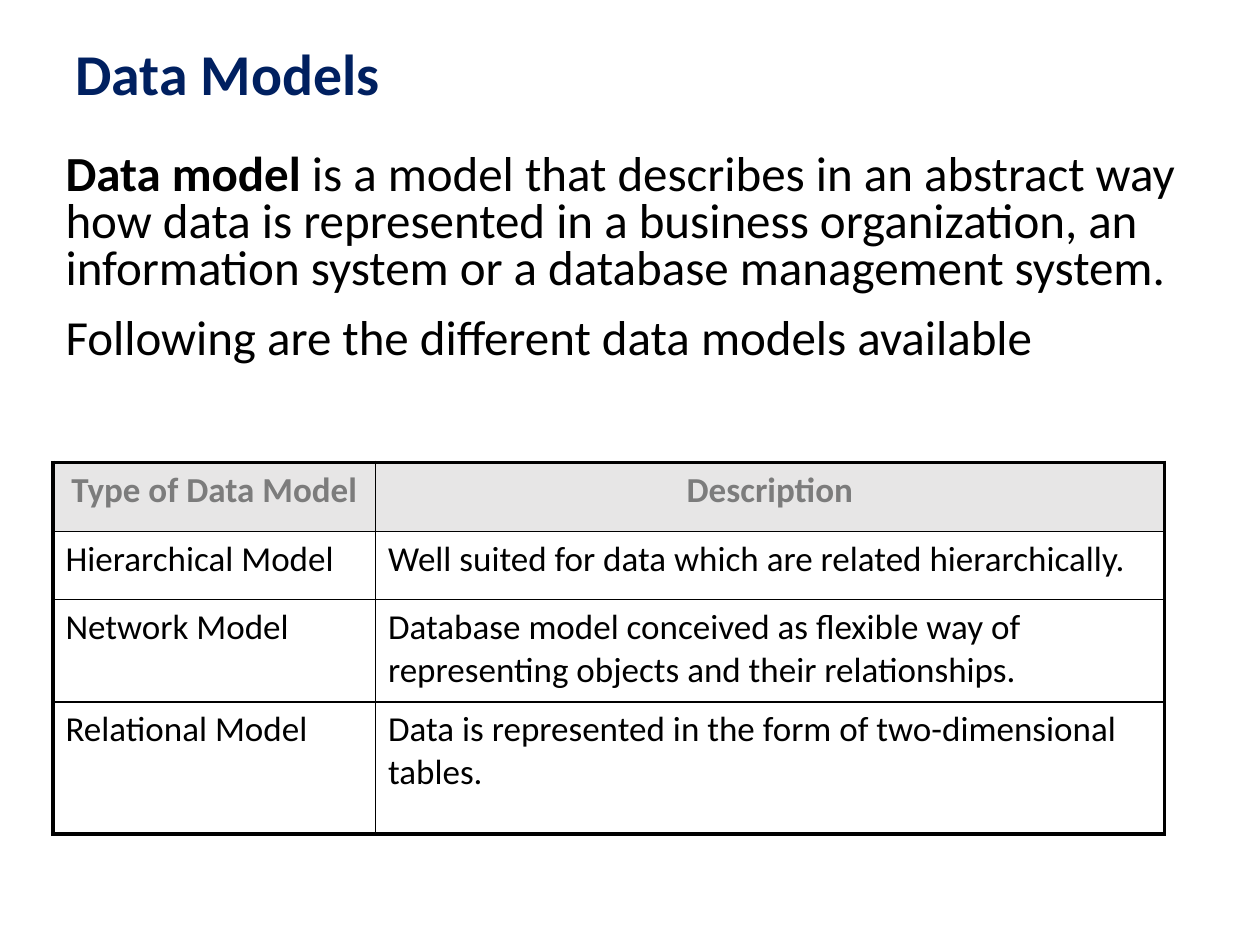
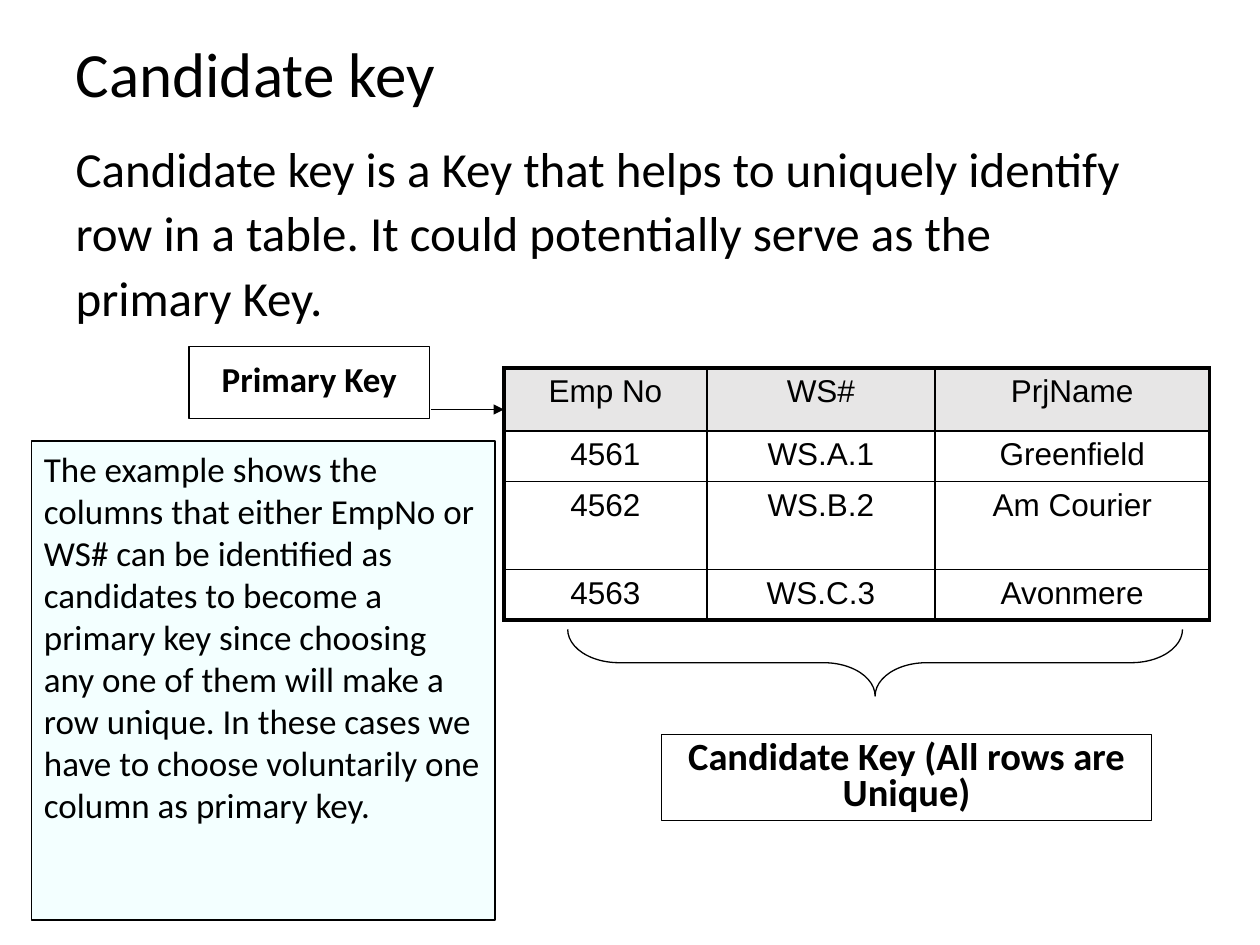
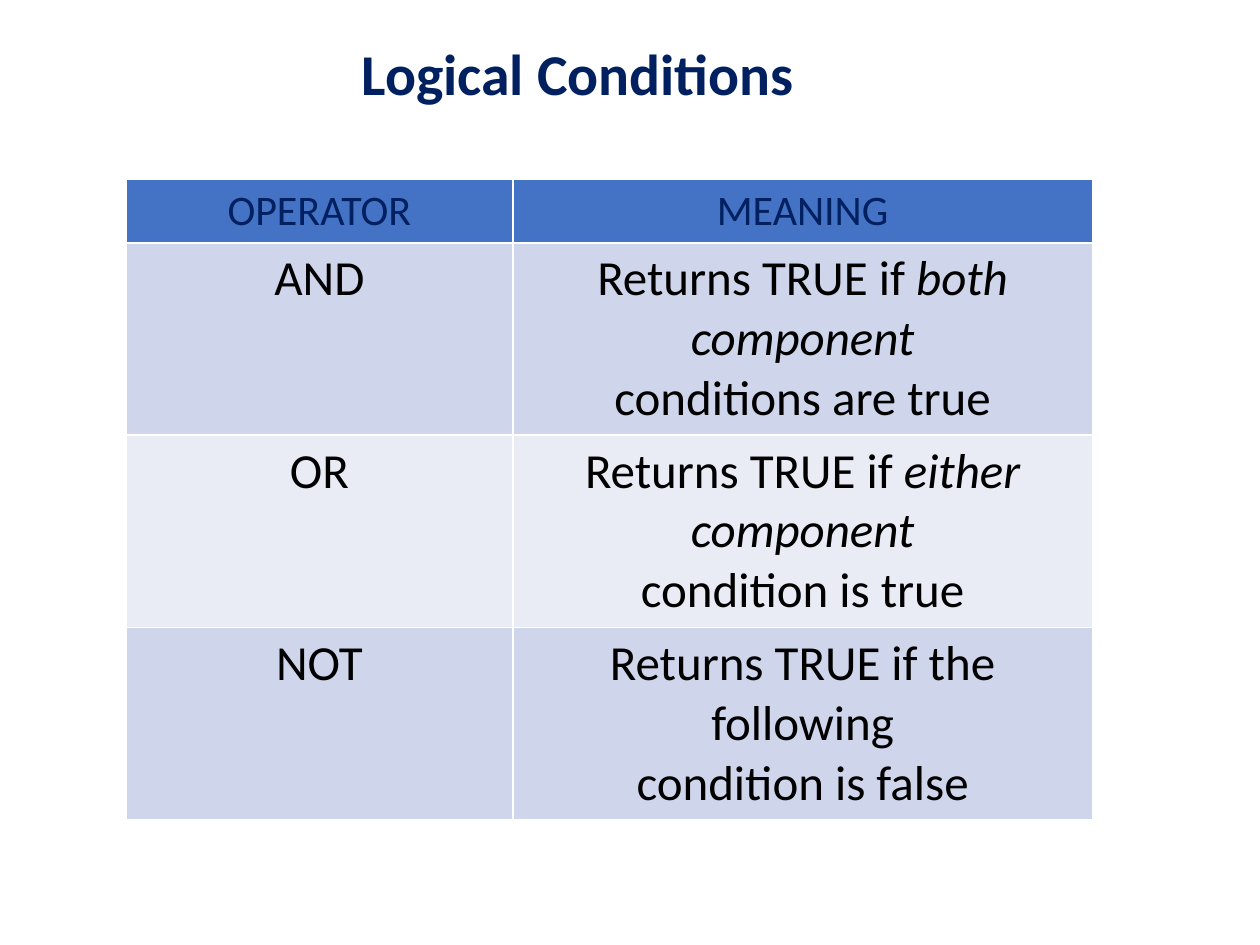
from lxml import etree
from pptx import Presentation
from pptx.dml.color import RGBColor
from pptx.enum.shapes import MSO_CONNECTOR, MSO_SHAPE
from pptx.enum.text import MSO_ANCHOR, MSO_AUTO_SIZE, PP_ALIGN
from pptx.oxml.ns import qn
from pptx.util import Inches, Pt

LEFT, CENTER = PP_ALIGN.LEFT, PP_ALIGN.CENTER
TOP, MIDDLE = MSO_ANCHOR.TOP, MSO_ANCHOR.MIDDLE
RECTANGLE, RIGHT_BRACE = MSO_SHAPE.RECTANGLE, MSO_SHAPE.RIGHT_BRACE

BLACK = RGBColor(0x00, 0x00, 0x00)
WHITE = RGBColor(0xFF, 0xFF, 0xFF)
NAVY = RGBColor(0x00, 0x20, 0x60)
GRAY = RGBColor(0x7C, 0x7C, 0x7C)
LIGHT_GRAY = RGBColor(0xE7, 0xE6, 0xE6)
BLUE = RGBColor(0x44, 0x72, 0xC4)
PALE_BLUES = [RGBColor(0xCF, 0xD5, 0xEA), RGBColor(0xE9, 0xEB, 0xF5)]
ICE = RGBColor(0xF3, 0xFF, 0xFF)

TITLE_AND_BODY, TITLE_ONLY = 1, 5
BOLD_TITLE = {"size": 33, "color": NAVY, "bold": True}

# A paragraph is a string or a list of (text, run format) pairs.
MODEL_INTRO = [
    [("Data model", {"bold": True}),
     (" is a model that describes in an abstract way how data is represented in a "
      "business organization, an information system or a database management system.", {})],
    "Following are the different data models available",
]
MODEL_ROWS = [
    ["Type of Data Model", "Description"],
    ["Hierarchical Model", "Well suited for data which are related hierarchically."],
    ["Network Model", "Database model conceived as flexible way of representing "
                      "objects and their relationships."],
    ["Relational Model", "Data is represented in the form of two-dimensional tables."],
]

CANDIDATE_INTRO = ["Candidate key is a Key that helps to uniquely identify row in a table. "
                   "It could potentially serve as the primary Key."]
PROJECT_ROWS = [
    ["Emp No", "WS#", "PrjName"],
    ["4561", "WS.A.1", "Greenfield"],
    ["4562", "WS.B.2", "Am Courier"],
    ["4563", "WS.C.3", "Avonmere"],
]
EXAMPLE_NOTE = ("The example shows the columns that either EmpNo or WS# can be identified as "
                "candidates to become a primary key since choosing any one of them will make "
                "a row unique. In these cases we have to choose voluntarily one column as "
                "primary key.")

ITALIC = {"italic": True}
CONDITION_ROWS = [
    ["OPERATOR", "MEANING"],
    ["AND", [[("Returns TRUE if ", {}), ("both component", ITALIC)], "conditions are true"]],
    ["OR", [[("Returns TRUE if ", {}), ("either component", ITALIC)], "condition is true"]],
    ["NOT", ["Returns TRUE if the following", "condition is false"]],
]


def write_text(frame, paragraphs, size=20, color=BLACK, font="Calibri", bold=False,
               align=LEFT, line_spacing=1.0, gap=0):
    """Fill a text frame; gap is the space in points between paragraphs."""
    if isinstance(paragraphs, str):
        paragraphs = [paragraphs]
    for index, content in enumerate(paragraphs):
        paragraph = frame.add_paragraph() if index else frame.paragraphs[0]
        properties = paragraph._p.get_or_add_pPr()
        properties.set("marL", "0")
        properties.set("indent", "0")
        etree.SubElement(properties, qn("a:buNone"))
        paragraph.alignment = align
        paragraph.line_spacing = line_spacing
        paragraph.space_before = Pt(gap if index else 0)
        for text, run_format in [(content, {})] if isinstance(content, str) else content:
            run = paragraph.add_run()
            run.text = text
            run.font.name = font
            run.font.size = Pt(size)
            run.font.color.rgb = color
            run.font.bold = run_format.get("bold", bold)
            run.font.italic = run_format.get("italic", False)


def fill_placeholder(shape, box, paragraphs, anchor, **text_format):
    shape.left, shape.top, shape.width, shape.height = map(Inches, box)
    frame = shape.text_frame
    frame.word_wrap = True
    frame.auto_size = MSO_AUTO_SIZE.NONE
    frame.vertical_anchor = anchor
    write_text(frame, paragraphs, **text_format)


def add_slide(presentation, layout, title, title_width=8.17, **title_format):
    slide = presentation.slides.add_slide(presentation.slide_layouts[layout])
    fill_placeholder(slide.shapes.title, (0.5, 0.3, title_width, 0.62), title, MIDDLE,
                     line_spacing=0.9, **title_format)
    return slide


def set_fill(fill, color):
    if color is None:
        fill.background()
    else:
        fill.solid()
        fill.fore_color.rgb = color


def set_border(cell, side, color, width):
    line = etree.SubElement(cell._tc.get_or_add_tcPr(), qn(f"a:ln{side}"), w=str(Pt(width)))
    solid = etree.SubElement(line, qn("a:solidFill"))
    etree.SubElement(solid, qn("a:srgbClr"), val=str(color))


def add_grid(slide, left, top, widths, heights, rows, header, body, header_fill,
             body_fills=(None,), border=BLACK, outer_width=2.25):
    """Add a table; header and body are text formats, body_fills repeat row by row."""
    table = slide.shapes.add_table(len(rows), len(widths), Inches(left), Inches(top),
                                   Inches(sum(widths)), Inches(sum(heights))).table
    for column, width in zip(table.columns, widths):
        column.width = Inches(width)
    for row_index, (height, texts) in enumerate(zip(heights, rows)):
        table.rows[row_index].height = Inches(height)
        for column_index, text in enumerate(texts):
            cell = table.cell(row_index, column_index)
            outer_sides = {"L": column_index == 0, "R": column_index == len(widths) - 1,
                           "T": row_index == 0, "B": row_index == len(rows) - 1}
            for side, is_outer in outer_sides.items():
                set_border(cell, side, border, outer_width if is_outer else 1)
            is_header = row_index == 0
            set_fill(cell.fill, header_fill if is_header
                     else body_fills[(row_index - 1) % len(body_fills)])
            write_text(cell.text_frame, text, **(header if is_header else body))


def add_outlined_shape(slide, kind, box, fill=None, line_width=0.75):
    shape = slide.shapes.add_shape(kind, *map(Inches, box))
    shape.shadow.inherit = False
    set_fill(shape.fill, fill)
    shape.line.color.rgb = BLACK
    shape.line.width = Pt(line_width)
    return shape


def add_box(slide, box, text, anchor=MIDDLE, fill=None, line_width=0.75, **text_format):
    shape = add_outlined_shape(slide, RECTANGLE, box, fill, line_width)
    shape.text_frame.word_wrap = True
    shape.text_frame.vertical_anchor = anchor
    write_text(shape.text_frame, text, **text_format)


def add_arrow(slide, start, end):
    arrow = slide.shapes.add_connector(MSO_CONNECTOR.STRAIGHT, *map(Inches, start + end))
    arrow.line.color.rgb = BLACK
    arrow.line.width = Pt(0.75)
    etree.SubElement(arrow.line._get_or_add_ln(), qn("a:tailEnd"), type="triangle")
    etree.SubElement(arrow._element.spPr, qn("a:effectLst"))


def build_data_models(presentation):
    slide = add_slide(presentation, TITLE_AND_BODY, "Data Models", **BOLD_TITLE)
    fill_placeholder(slide.placeholders[1], (0.42, 1.17, 9.08, 2.2), MODEL_INTRO, TOP,
                     size=28, line_spacing=0.8, gap=13)
    add_grid(slide, 0.42, 3.67, [2.56, 6.26], [0.55, 0.54, 0.81, 1.05], MODEL_ROWS,
             header={"color": GRAY, "bold": True, "align": CENTER}, body={},
             header_fill=LIGHT_GRAY)


def build_candidate_key(presentation):
    slide = add_slide(presentation, TITLE_AND_BODY, "Candidate key", title_width=9, size=36)
    fill_placeholder(slide.placeholders[1], (0.5, 1, 8.75, 1.66), CANDIDATE_INTRO, TOP,
                     size=28, line_spacing=1.1)
    cell_format = {"size": 18, "font": "Arial", "align": CENTER}
    add_grid(slide, 4, 2.92, [1.61, 1.81, 2.18], [0.5, 0.4, 0.7, 0.4], PROJECT_ROWS,
             header=cell_format, body=cell_format, header_fill=LIGHT_GRAY)

    brace = add_outlined_shape(slide, RIGHT_BRACE, (6.68, 2.82, 0.53, 4.88))
    brace.rotation = 90
    brace.adjustments[0] = 0.77
    brace.adjustments[1] = 0.5

    label_format = {"bold": True, "align": CENTER, "line_spacing": 0.8}
    add_box(slide, (5.25, 5.83, 3.89, 0.68), "Candidate Key (All rows are Unique)",
            size=22, **label_format)
    add_box(slide, (1.5, 2.75, 1.91, 0.57), "Primary Key", **label_format)
    add_arrow(slide, (3.42, 3.25), (4, 3.25))
    add_box(slide, (0.25, 3.5, 3.68, 3.8), EXAMPLE_NOTE, anchor=TOP, fill=ICE, line_width=1)


def build_logical_conditions(presentation):
    slide = add_slide(presentation, TITLE_ONLY, "Logical Conditions", align=CENTER, **BOLD_TITLE)
    add_grid(slide, 1, 1.42, [3.07, 4.6], [0.5] + [1.52] * 3, CONDITION_ROWS,
             header={"size": 24, "color": NAVY, "align": CENTER},
             body={"size": 28, "align": CENTER},
             header_fill=BLUE, body_fills=PALE_BLUES, border=WHITE, outer_width=1)


def main():
    presentation = Presentation()
    presentation.slide_width = Inches(10)
    presentation.slide_height = Inches(7.5)
    build_data_models(presentation)
    build_candidate_key(presentation)
    build_logical_conditions(presentation)
    presentation.save("out.pptx")


if __name__ == "__main__":
    main()
